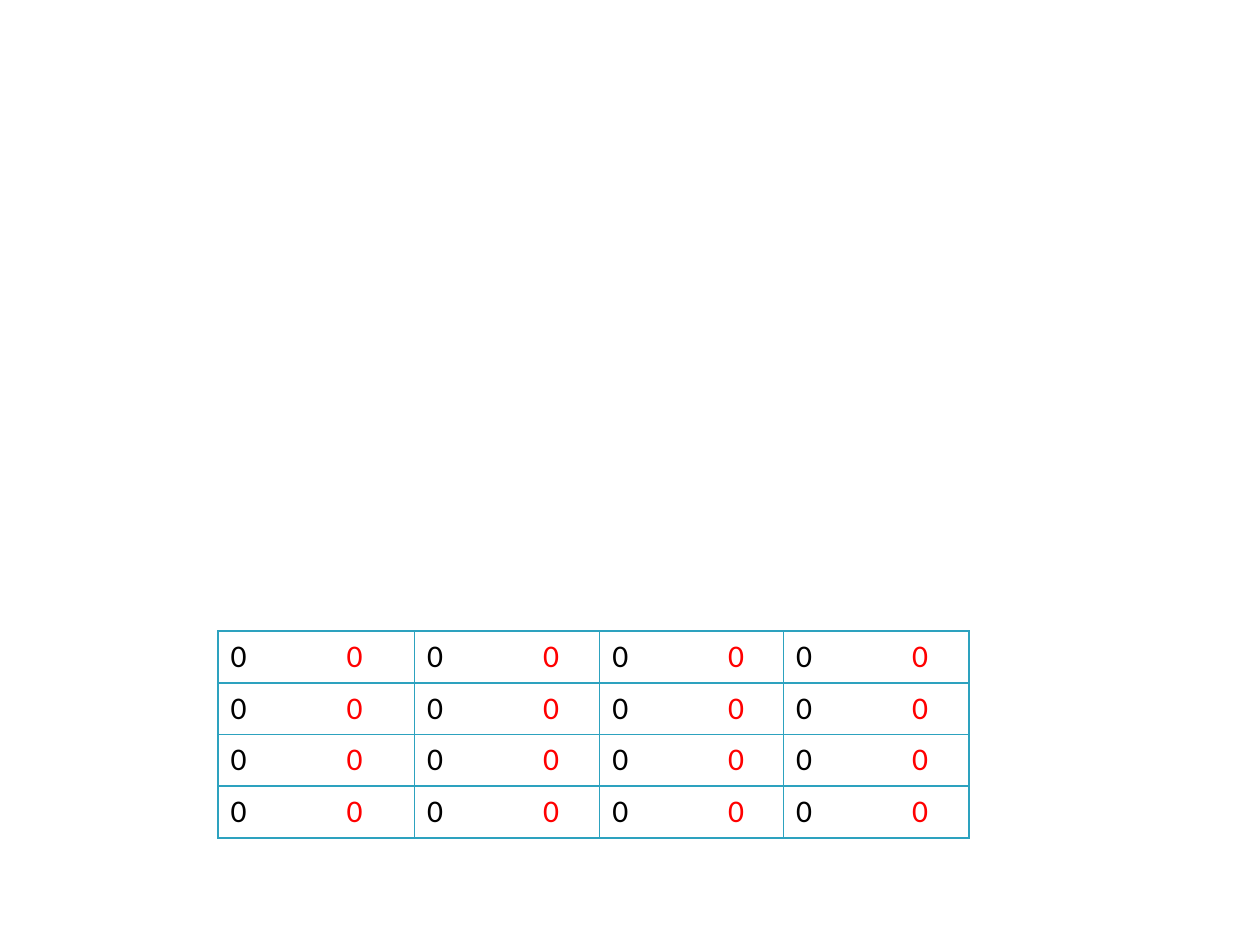
from lxml.etree import SubElement
from pptx import Presentation
from pptx.dml.color import RGBColor
from pptx.oxml.ns import qn
from pptx.util import Inches, Pt

COLORS = {"first": "000000", "second": "FF0000", "border": "2DA2BF"}
PAIRS = [[("0", "0")] * 4 for _ in range(4)]
COLUMN_WIDTHS = [1.56, 1.47, 1.46, 1.47]
ROW_HEIGHT = 0.41
TABLE_LEFT, TABLE_TOP = 1.73, 5.01
SECOND_VALUE_OFFSET = 0.92


def add_text(paragraph, text, color, size=18, font="Calibri"):
    run = paragraph.add_run()
    run.text = text
    run.font.name = font
    run.font.size = Pt(size)
    run.font.bold = False
    run.font.color.rgb = RGBColor.from_string(COLORS[color])


def add_tab_stop(paragraph, offset):
    properties = paragraph._p.get_or_add_pPr()
    tabs = SubElement(properties, qn("a:tabLst"))
    SubElement(tabs, qn("a:tab"), pos=str(Inches(offset)), algn="l")


def add_borders(cell, color, width=1):
    properties = cell._tc.get_or_add_tcPr()
    for side in ("lnL", "lnR", "lnT", "lnB"):
        line = SubElement(properties, qn(f"a:{side}"), w=str(Pt(width)))
        fill = SubElement(line, qn("a:solidFill"))
        SubElement(fill, qn("a:srgbClr"), val=COLORS[color])


presentation = Presentation()
presentation.slide_width = Inches(10)
presentation.slide_height = Inches(7.5)
slide = presentation.slides.add_slide(presentation.slide_layouts[6])

table = slide.shapes.add_table(
    len(PAIRS), len(COLUMN_WIDTHS), Inches(TABLE_LEFT), Inches(TABLE_TOP),
    Inches(sum(COLUMN_WIDTHS)), Inches(ROW_HEIGHT * len(PAIRS))).table
table.first_row = False
table.horz_banding = False
for column, width in zip(table.columns, COLUMN_WIDTHS):
    column.width = Inches(width)

for row, pairs in zip(table.rows, PAIRS):
    row.height = Inches(ROW_HEIGHT)
    for cell, (first, second) in zip(row.cells, pairs):
        add_borders(cell, "border")
        cell.fill.background()
        paragraph = cell.text_frame.paragraphs[0]
        add_tab_stop(paragraph, SECOND_VALUE_OFFSET)
        add_text(paragraph, first + "\t", "first")
        add_text(paragraph, second, "second")

presentation.save("out.pptx")
